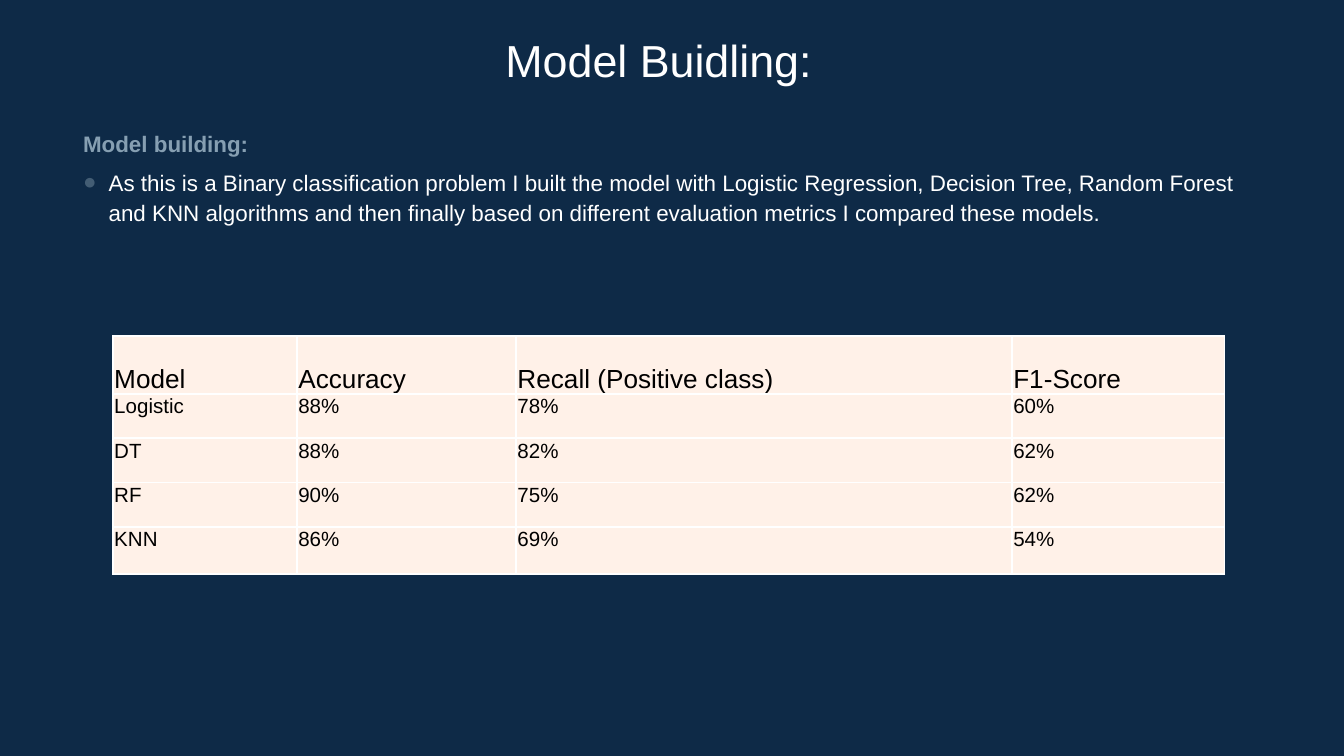
from lxml.etree import SubElement
from pptx import Presentation
from pptx.dml.color import RGBColor
from pptx.enum.text import MSO_ANCHOR as Anchor, PP_ALIGN as Align
from pptx.oxml.ns import qn
from pptx.util import Inches, Pt


def color(hex_code):
    return RGBColor.from_string(hex_code)


def style(para, size, hex_code, bold=False):
    for span in para.runs:
        span.font.name = "Arial"
        span.font.size = Pt(size)
        span.font.bold = bold
        span.font.color.rgb = color(hex_code)


deck = Presentation()
deck.slide_width = Inches(10)
deck.slide_height = deck.slide_width * 9 // 16
page = deck.slides.add_slide(deck.slide_layouts[6])
page.background.fill.solid()
page.background.fill.fore_color.rgb = color("0E2A47")

# Text boxes
title = page.shapes.add_textbox(Inches(0.9), Inches(0.14), Inches(8), Inches(0.53))
body = page.shapes.add_textbox(Inches(0.52), Inches(0.84), Inches(8.97), Inches(4.64))
for box in (title, body):
    frame = box.text_frame
    frame.word_wrap = True
    frame.margin_left = frame.margin_right = Inches(0.1)
    frame.margin_top = frame.margin_bottom = Inches(0.1)

title.text_frame.text = "Model Buidling:"
title_para = title.text_frame.paragraphs[0]
title_para.alignment = Align.CENTER
style(title_para, 24, "FFFFFF")

# Heading and bullet
heading = body.text_frame.paragraphs[0]
heading.text = "Model building:"
heading.space_before = Pt(14)
style(heading, 12, "869FB2", bold=True)

bullet = body.text_frame.add_paragraph()
bullet.text = (
    "As this is a Binary classification problem I built the model with "
    "Logistic Regression, Decision Tree, Random Forest and KNN algorithms "
    "and then finally based on different evaluation metrics I compared these models."
)
bullet.space_before = Pt(4)
style(bullet, 12, "FFFFFF")
for para in (heading, bullet):
    para.line_spacing = 1.15

properties = bullet._p.get_or_add_pPr()
properties.set("marL", str(Inches(0.19)))
properties.set("indent", str(-Inches(0.19)))
bullet_color = SubElement(properties, qn("a:buClr"))
SubElement(bullet_color, qn("a:srgbClr"), val="435D74")
SubElement(properties, qn("a:buFont"), typeface="Arial")
SubElement(properties, qn("a:buChar"), char="●")

# Model comparison
scores = [
    ["Model", "Accuracy", "Recall (Positive class)", "F1-Score"],
    ["Logistic", "88%", "78%", "60%"],
    ["DT", "88%", "82%", "62%"],
    ["RF", "90%", "75%", "62%"],
    ["KNN", "86%", "69%", "54%"],
]
column_widths = [1.37, 1.63, 3.69, 1.58]
row_heights = [0.43, 0.33, 0.33, 0.33, 0.35]
table = page.shapes.add_table(
    len(scores), len(scores[0]), Inches(0.84), Inches(2.5), Inches(8.27), Inches(1.77)
).table
for column, width in zip(table.columns, column_widths):
    column.width = Inches(width)
for row, height in zip(table.rows, row_heights):
    row.height = Inches(height)

for row_index, values in enumerate(scores):
    is_header = row_index == 0
    for column_index, value in enumerate(values):
        cell = table.cell(row_index, column_index)
        cell.text = value
        cell.margin_left = cell.margin_right = cell.margin_top = Inches(0.01)
        cell.margin_bottom = 0
        cell.vertical_anchor = Anchor.BOTTOM if is_header else Anchor.TOP
        style(cell.text_frame.paragraphs[0], 14 if is_header else 11, "000000")
        cell_properties = cell._tc.get_or_add_tcPr()
        for side in ("a:lnL", "a:lnR", "a:lnT", "a:lnB"):
            border = SubElement(cell_properties, qn(side), w=str(Pt(1)))
            border_fill = SubElement(border, qn("a:solidFill"))
            SubElement(border_fill, qn("a:srgbClr"), val="FFFFFF")
        cell.fill.solid()
        cell.fill.fore_color.rgb = color("FFF1E8")

deck.save("out.pptx")
